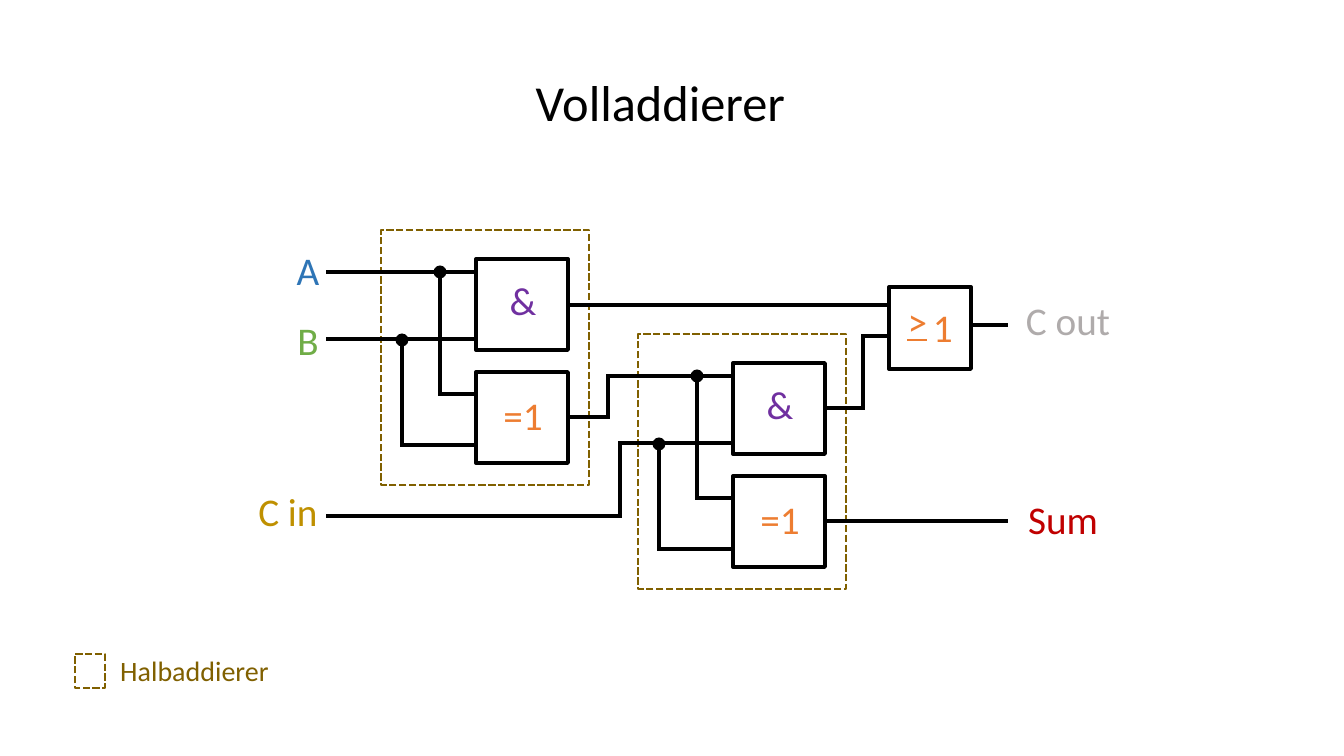
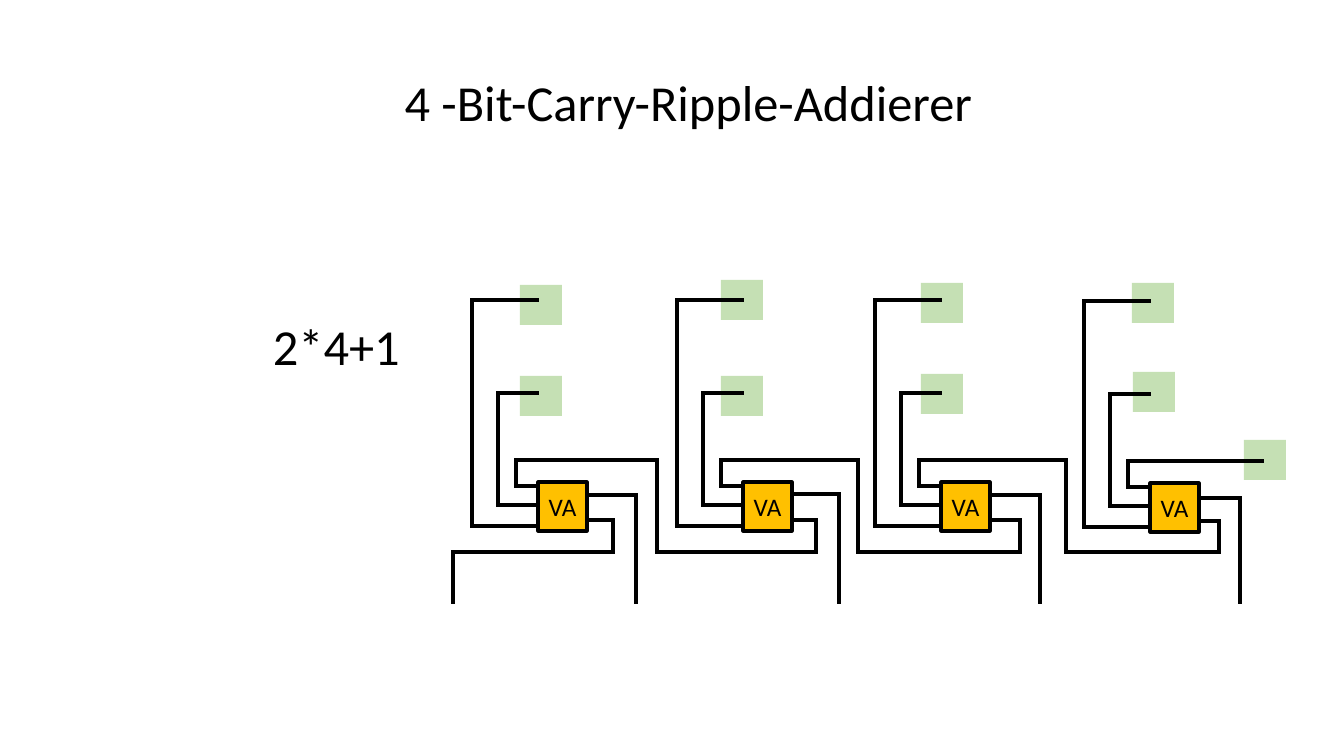
from itertools import pairwise

from lxml import etree
from pptx import Presentation
from pptx.dml.color import RGBColor
from pptx.enum.dml import MSO_LINE
from pptx.enum.shapes import MSO_CONNECTOR, MSO_SHAPE
from pptx.enum.text import MSO_ANCHOR, PP_ALIGN
from pptx.oxml.ns import qn
from pptx.util import Emu, Pt

RECT, OVAL = MSO_SHAPE.RECTANGLE, MSO_SHAPE.OVAL
STRAIGHT = MSO_CONNECTOR.STRAIGHT
DASH = MSO_LINE.SQUARE_DOT
LEFT, CENTER, MIDDLE = PP_ALIGN.LEFT, PP_ALIGN.CENTER, MSO_ANCHOR.MIDDLE

PX = 914400 / 100.8
FONT = "Calibri"
BLACK, BROWN, ORANGE, PURPLE = "000000", "806000", "ED7D31", "7030A0"
BLUE, GREEN, OCHRE, GRAY, RED = "2E75B6", "70AD47", "BF9000", "AFABAB", "C00000"
AMBER, PALE_GREEN = "FFC000", "C5E0B4"

rgb = RGBColor.from_string
prs = Presentation()
prs.slide_width, prs.slide_height = Emu(round(1344 * PX)), Emu(round(756 * PX))


def box(s, kind, at, fill=None, line=None, width=2.75, dash=None,
        text=None, size=28, color=BLACK, align=CENTER):
    """Add a preset shape, or a text box if kind is None."""
    at = [Emu(round(v * PX)) for v in at]
    if kind is None:
        sp = s.shapes.add_textbox(*at)
    else:
        sp = s.shapes.add_shape(kind, *at)
        sp.shadow.inherit = False
        if fill:
            sp.fill.solid()
            sp.fill.fore_color.rgb = rgb(fill)
        else:
            sp.fill.background()
        if line:
            sp.line.color.rgb = rgb(line)
            sp.line.width = Pt(width)
            if dash:
                sp.line.dash_style = dash
        else:
            sp.line.fill.background()
    if text:
        tf = sp.text_frame
        tf.word_wrap = True
        if kind is not None:
            tf.margin_left = tf.margin_right = 0
            tf.vertical_anchor = MIDDLE
        p = tf.paragraphs[0]
        p.text = text
        p.alignment = align
        font = p.runs[0].font
        font.name, font.size, font.color.rgb = FONT, Pt(size), rgb(color)


def wire(s, *points, width=2.75, color=BLACK):
    """Join the points by straight lines with square ends, so corners close."""
    for start, end in pairwise(points):
        cn = s.shapes.add_connector(
            STRAIGHT, *(Emu(round(v * PX)) for v in start + end))
        cn.line.color.rgb = rgb(color)
        cn.line.width = Pt(width)
        cn.line._get_or_add_ln().set("cap", "sq")
        etree.SubElement(cn._element.spPr, qn("a:effectLst"))


# Slides and titles
slides = []
for title, left, width in [("Volladdierer", 494, 333),
                           ("4 -Bit-Carry-Ripple-Addierer", 336, 705)]:
    s = prs.slides.add_slide(prs.slide_layouts[6])
    box(s, None, (left, 66, width, 72), text=title, size=36)
    slides.append(s)
full_adder, ripple_adder = slides

# Full adder: two half adders
s = full_adder
for x, y in [(381, 230), (638, 334)]:
    wire(s, (x + 59, y + 42), (x + 59, y + 164), (x + 95, y + 164))
    wire(s, (x + 21, y + 109), (x + 21, y + 215), (x + 95, y + 215))
    for dx, dy in [(59, 42), (21, 110)]:
        box(s, OVAL, (x + dx - 6.5, y + dy - 6.5, 13, 13), fill=BLACK)
    for dy, text_dy, text, color in [(29, 41, "&", PURPLE), (142, 156, "=1", ORANGE)]:
        box(s, RECT, (x + 95, y + dy, 92, 91), line=BLACK)
        box(s, None, (x + 76, y + text_dy, 132, 57), text=text, color=color)
    box(s, RECT, (x, y, 208, 255), line=BROWN, width=1.75, dash=DASH)

# Full adder: wires between gates, inputs and outputs
for points in [
    [(328, 272), (476, 272)],
    [(328, 339), (476, 339)],
    [(328, 516), (620, 516), (620, 443), (733, 443)],
    [(568, 305), (889, 305)],
    [(568, 417), (608, 417), (608, 376), (733, 376)],
    [(825, 408), (863, 408), (863, 336), (889, 336)],
    [(825, 521), (1006, 521)],
    [(971, 325), (1006, 325)],
]:
    wire(s, *points)

# Full adder: OR gate
box(s, RECT, (889, 287, 82, 82), line=BLACK)
box(s, None, (858, 292, 119, 57), text=">", color=ORANGE)
wire(s, (908, 340), (926, 340), width=1.75, color=ORANGE)
box(s, None, (923, 298, 41, 57), text="1", color=ORANGE, align=LEFT)

# Full adder: signal names
for text, x, y, w, color in [
    ("A", 252, 241, 112, BLUE),
    ("B", 252, 311, 112, GREEN),
    ("C in", 232, 482, 112, OCHRE),
    ("C out", 1002, 291, 132, GRAY),
    ("Sum", 1007, 490, 112, RED),
]:
    box(s, None, (x, y, w, 57), text=text, color=color)

# Full adder: legend
box(s, None, (28, 649, 333, 44), text="Halbaddierer", size=20, color=BROWN)
box(s, RECT, (75, 654, 30, 34), line=BROWN, width=1.75, dash=DASH)

# Ripple adder: input marks
s = ripple_adder
for x, y in [(520, 285), (520, 376), (721, 280), (721, 376), (921, 283),
             (921, 374), (1132, 283), (1133, 372), (1244, 440)]:
    box(s, RECT, (x, y, 42, 40), fill=PALE_GREEN)

# Ripple adder: four stages, each carry leading to the stage on its left
BUS_Y, OUT_Y = 552, 602
carry_xs = [453, 657, 858, 1066, 1262]
stages = [(538, 482, 636, 495, 613), (743, 482, 839, 494, 816),
          (941, 482, 1040, 495, 1020), (1150, 483, 1240, 498, 1219)]
for i, (x, y, sum_x, sum_y, carry_x) in enumerate(stages):
    right = x + 49
    carry_end = y - 22 if i else OUT_Y
    for points in [
        [(x, y + 44), (x - 66, y + 44), (x - 66, y - 182), (x - 1, y - 182)],
        [(x, y + 23), (x - 40, y + 23), (x - 40, y - 89), (x - 1, y - 89)],
        [(x, y + 4), (x - 22, y + 4), (x - 22, y - 22), (carry_xs[i + 1], y - 22)],
        [(right, sum_y), (sum_x, sum_y), (sum_x, OUT_Y)],
        [(right, y + 38), (carry_x, y + 38), (carry_x, BUS_Y),
         (carry_xs[i], BUS_Y), (carry_xs[i], carry_end)],
    ]:
        wire(s, *points, width=2.25)
    box(s, RECT, (x, y, 49, 49), fill=AMBER, line=BLACK, width=2.25,
        text="VA", size=18)

# Ripple adder: number of inputs
box(s, None, (263, 310, 168, 72), text="2*4+1", size=36, align=LEFT)

prs.save("out.pptx")
